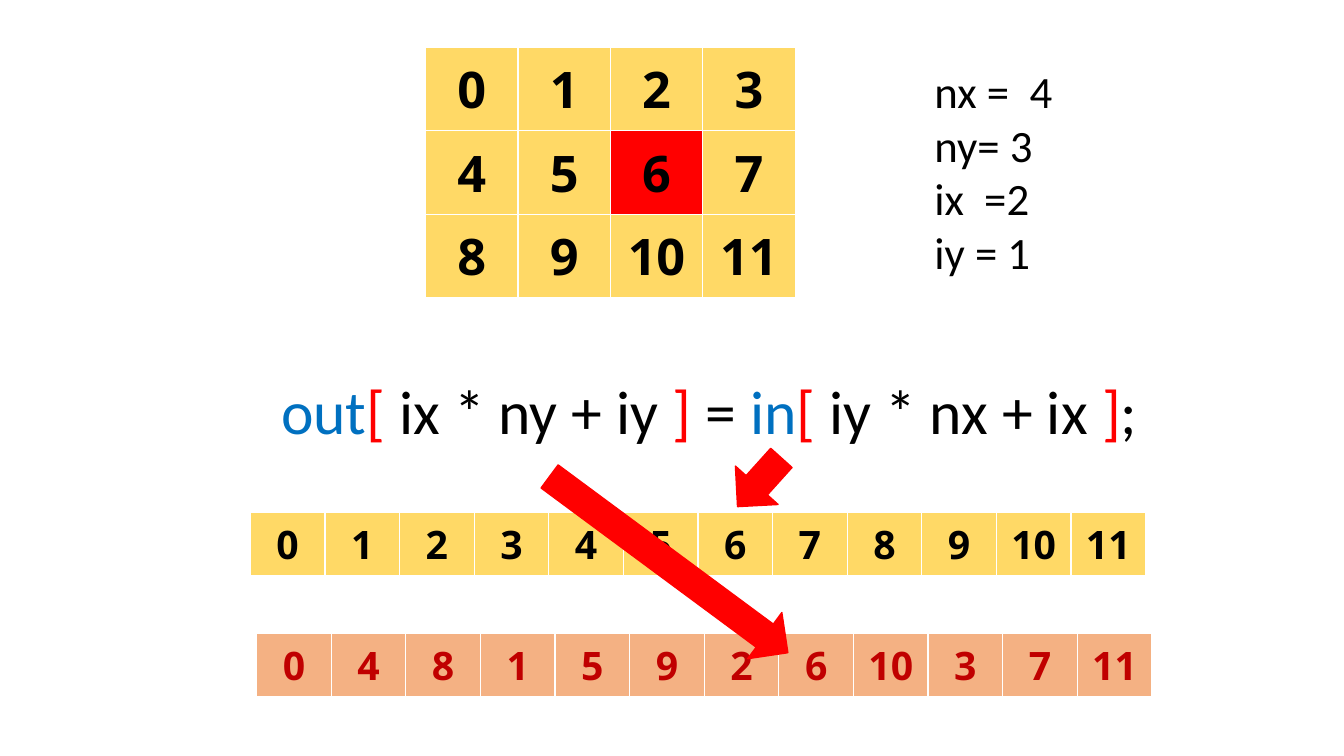
import dataclasses

import pptx
import pptx.dml.color
import pptx.enum.shapes
import pptx.enum.text
import pptx.shapes.autoshape
import pptx.slide
import pptx.text.text
import pptx.util

Pt = pptx.util.Pt
ALIGN = pptx.enum.text.PP_ALIGN
ANCHOR = pptx.enum.text.MSO_ANCHOR
FIT = pptx.enum.text.MSO_AUTO_SIZE

HUES = {
    "black": "000000",
    "blue": "0070C0",
    "red": "FF0000",
    "dark": "C00000",
    "gold": "FFD966",
    "peach": "F4B183",
}


@dataclasses.dataclass
class Grid:
    left: float
    top: float
    wide: float
    high: float
    size: float
    ink: str
    fill: str
    rows: list[list[int]]
    mark: int | None = None


@dataclasses.dataclass
class Arrow:
    left: float
    top: float
    wide: float
    high: float
    turn: float


NX, NY = 4, 3
INPUT = list(range(NX * NY))
MATRIX = [INPUT[iy * NX:(iy + 1) * NX] for iy in range(NY)]
OUTPUT = [row[ix] for ix in range(NX) for row in MATRIX]

GRIDS = [
    Grid(304, 34, 66, 59.5, 36, "black", "gold", MATRIX, mark=6),
    Grid(178.8, 366, 53.3, 41, 28, "black", "gold", [INPUT]),
    Grid(183.3, 452.3, 53.3, 41, 28, "dark", "peach", [OUTPUT]),
]
ARROWS = [
    Arrow(522, 321.1, 41, 46.8, 42),
    Arrow(457.2, 297.4, 41, 211.7, 306.5),
]
FACTS = ["nx =  4", "ny= 3", "ix  =2", "iy = 1"]
CODE = [
    (" ", "black"), ("out", "blue"), ("[", "red"),
    (" ix * ny + iy ", "black"), ("]", "red"), (" = ", "black"),
    ("in", "blue"), ("[ ", "red"), ("iy * nx + ix ", "black"),
    ("]", "red"), (";", "black"),
]


def tint(name: str) -> pptx.dml.color.RGBColor:
    return pptx.dml.color.RGBColor.from_string(HUES[name])


def style(run, face: str, size: float, ink: str, bold: bool = False) -> None:
    run.font.name = face
    run.font.size = Pt(size)
    run.font.bold = bold
    run.font.color.rgb = tint(ink)


def place(shape, left: float, top: float, wide: float, high: float) -> None:
    shape.left, shape.top = Pt(left), Pt(top)
    shape.width, shape.height = Pt(wide), Pt(high)


def draw_grid(slide: pptx.slide.Slide, grid: Grid) -> None:
    count, span = len(grid.rows), len(grid.rows[0])
    # The default table style gives the white rules and thick header edge
    table = slide.shapes.add_table(
        count, span, Pt(grid.left), Pt(grid.top),
        Pt(span * grid.wide), Pt(count * grid.high)).table
    for col in table.columns:
        col.width = Pt(grid.wide)
    for row, items in zip(table.rows, grid.rows):
        row.height = Pt(grid.high)
        for cell, item in zip(row.cells, items):
            cell.fill.solid()
            cell.fill.fore_color.rgb = tint(
                "red" if item == grid.mark else grid.fill)
            cell.vertical_anchor = ANCHOR.MIDDLE
            cell.text_frame.text = str(item)
            para = cell.text_frame.paragraphs[0]
            para.alignment = ALIGN.CENTER
            style(para.runs[0], "Open Sans", grid.size, grid.ink, True)


def draw_arrow(slide: pptx.slide.Slide, arrow: Arrow) -> None:
    shape = slide.shapes.add_shape(
        pptx.enum.shapes.MSO_SHAPE.DOWN_ARROW, Pt(arrow.left), Pt(arrow.top),
        Pt(arrow.wide), Pt(arrow.high))
    shape.rotation = arrow.turn
    shape.shadow.inherit = False
    shape.fill.solid()
    shape.fill.fore_color.rgb = tint("red")
    shape.line.color.rgb = tint("red")
    shape.line.width = Pt(1)


def write_code(title) -> None:
    place(title, 183.6, 262.8, 642.2, 60.5)
    frame = title.text_frame
    frame.word_wrap = False
    frame.auto_size = FIT.NONE
    frame.vertical_anchor = ANCHOR.TOP
    para = frame.paragraphs[0]
    para.alignment = ALIGN.LEFT
    for text, ink in CODE:
        run = para.add_run()
        run.text = text
        style(run, "Calibri", 44, ink)


def write_facts(body) -> None:
    place(body, 660.2, 41.8, 190.8, 162.7)
    frame = body.text_frame
    frame.text = "\n".join(FACTS)
    frame.auto_size = FIT.NONE
    frame.vertical_anchor = ANCHOR.TOP
    for para in frame.paragraphs:
        para.space_before = Pt(0)
        # Plain lines: no bullet, no hanging indent
        props = para._p.get_or_add_pPr()
        props.set("marL", "0")
        props.set("indent", "0")
        props.append(pptx.oxml.parse_xml(
            '<a:buNone xmlns:a="http://schemas.openxmlformats.org/'
            'drawingml/2006/main"/>'))
        style(para.runs[0], "Calibri", 32, "black")


def main() -> None:
    deck = pptx.Presentation()
    deck.slide_width, deck.slide_height = Pt(960), Pt(540)
    slide = deck.slides.add_slide(deck.slide_layouts[1])

    # Index formula and sizes
    write_code(slide.shapes.title)
    write_facts(slide.placeholders[1])

    # Matrix, then the input and output arrays
    for grid in GRIDS:
        draw_grid(slide, grid)

    # Arrows from the formula to the cells
    for arrow in ARROWS:
        draw_arrow(slide, arrow)

    deck.save("out.pptx")


if __name__ == "__main__":
    main()
